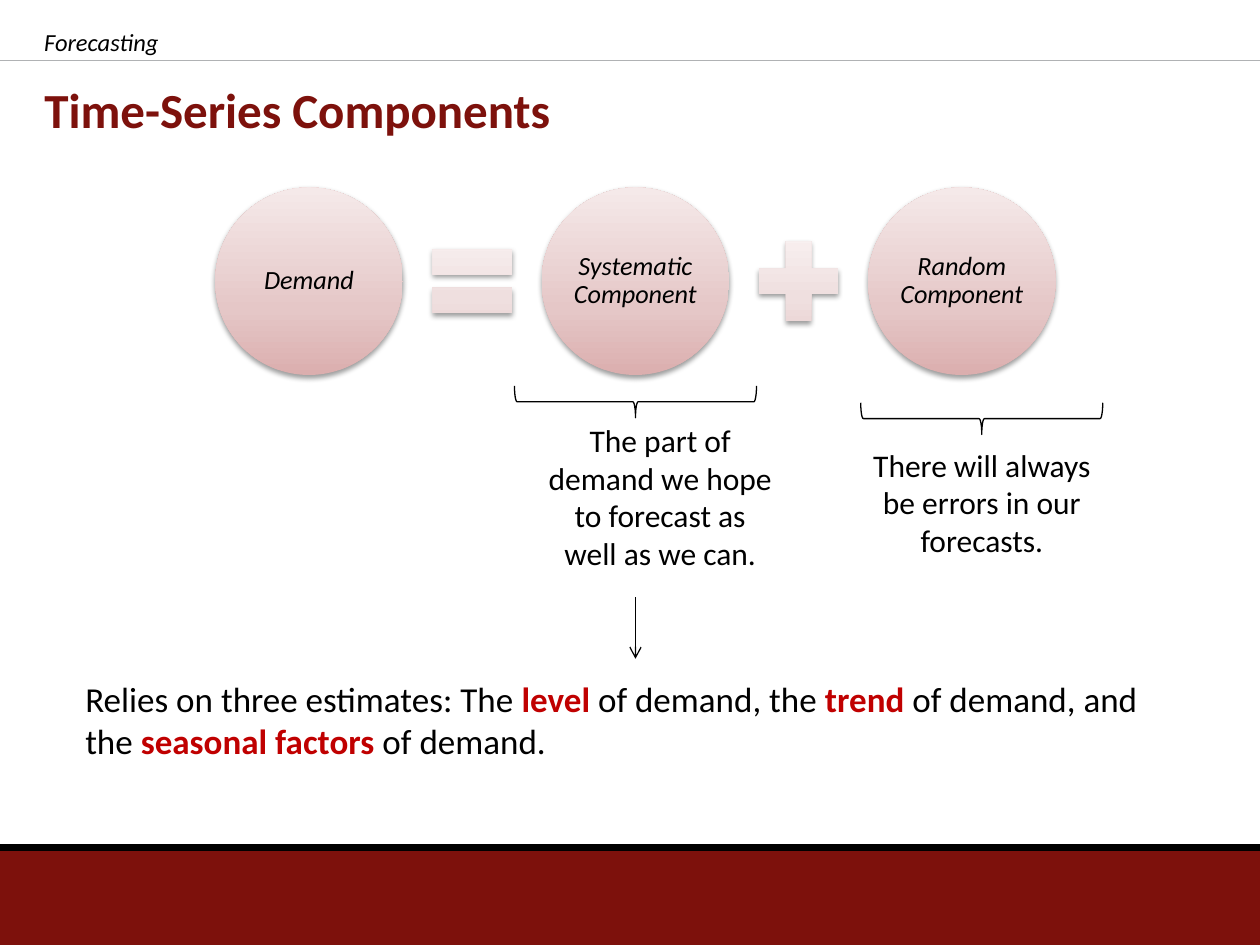
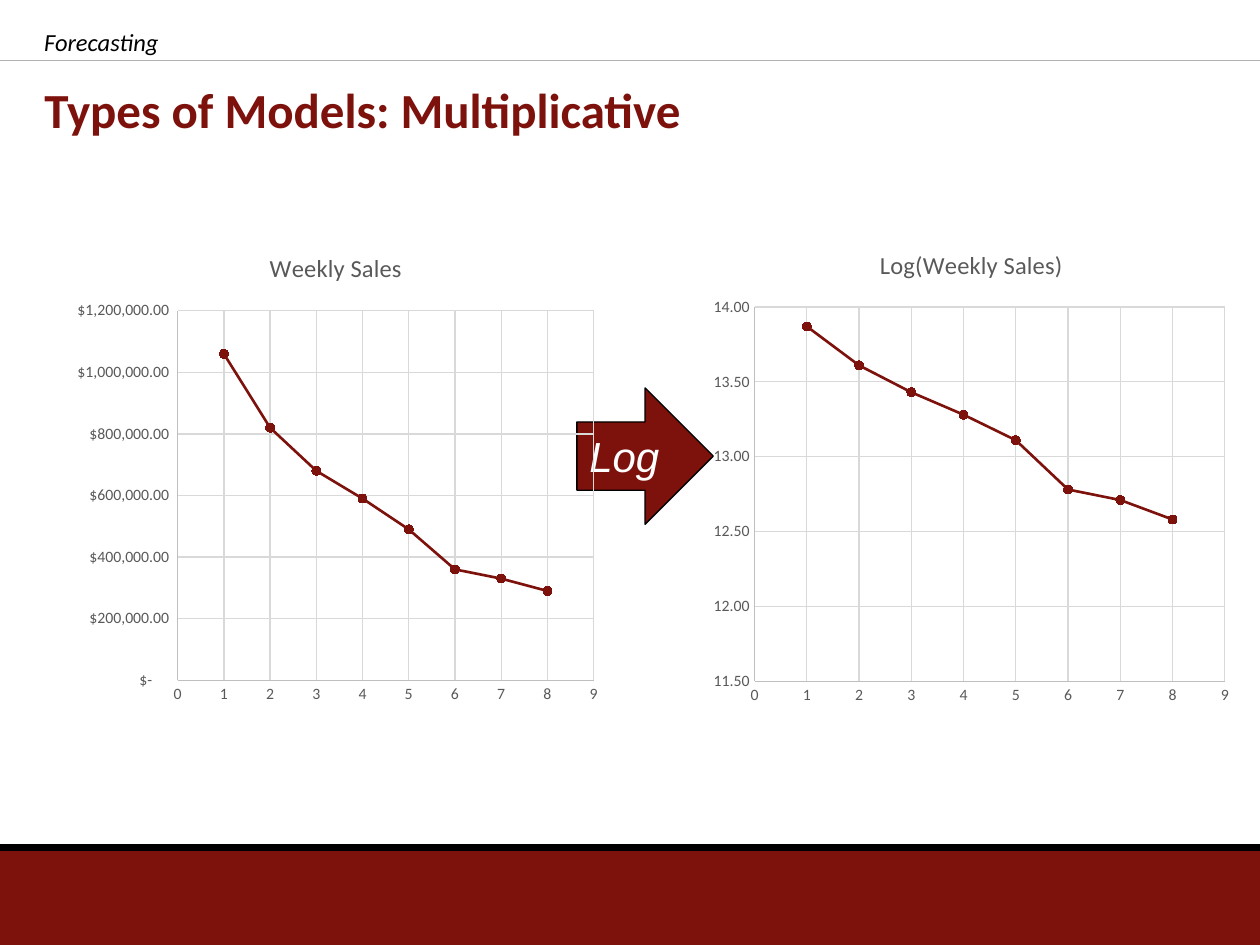
from lxml.etree import SubElement
from pptx import Presentation
from pptx.chart.data import XyChartData
from pptx.dml.color import RGBColor
from pptx.enum.chart import XL_CHART_TYPE as ChartType, XL_MARKER_STYLE as Marker, XL_TICK_MARK as Tick
from pptx.enum.shapes import MSO_CONNECTOR as Connector, MSO_SHAPE as Shape
from pptx.enum.text import MSO_ANCHOR as Anchor, MSO_AUTO_SIZE as AutoSize, PP_ALIGN as Align
from pptx.oxml.ns import qn
from pptx.util import Cm, Pt

SLIDE_WIDTH, SLIDE_HEIGHT = 25.4, 19.05
TITLE_ONLY = 5

MAROON, BLACK, WHITE = "7D110C", "000000", "FFFFFF"
RULE_GRAY, AXIS_GRAY, GRID_GRAY, LABEL_GRAY = "B0B2B4", "BFBFBF", "D9D9D9", "595959"
EMPHASIS = {"color": "C00000", "bold": True}
CIRCLE_SHADES = ((0, "DBAEAE"), (35, "E5C7C7"), (100, "F5E9E9"))
OPERATOR_SHADES = ((0, "EAD3D3"), (35, "EFDFDF"), (100, "F9F2F2"))

DOLLARS = '_($* #,##0.00_);_($* (#,##0.00);_($* "-"??_);_(@_)'
WEEKLY_SALES = (1060000, 820000, 680000, 590000, 490000, 360000, 330000, 290000)
LOG_SALES = (13.87, 13.61, 13.43, 13.28, 13.11, 12.78, 12.71, 12.58)


def rgb(color):
    return RGBColor.from_string(color)


def format_font(font, size=18, color=BLACK, name="Calibri", bold=False, italic=False):
    font.size, font.name, font.bold, font.italic = Pt(size), name, bold, italic
    font.color.rgb = rgb(color)


def format_line(line, color, width=0.75):
    line.color.rgb = rgb(color)
    line.width = Pt(width)


def write(frame, text, align=Align.LEFT, anchor=Anchor.TOP, inset=None, spacing=None, **font):
    """Fill a frame with a string, or with (string, font overrides) pairs."""
    frame.word_wrap = True
    frame.auto_size = AutoSize.NONE
    frame.vertical_anchor = anchor
    if inset is not None:
        frame.margin_left = frame.margin_right = Cm(inset)
        frame.margin_top = frame.margin_bottom = Cm(inset)
    paragraph = frame.paragraphs[0]
    paragraph.alignment = align
    if spacing:
        paragraph.line_spacing = spacing
    for words, overrides in [(text, {})] if isinstance(text, str) else text:
        run = paragraph.add_run()
        run.text = words
        format_font(run.font, **{**font, **overrides})


def shade(shape, stops):
    """Give a shape a vertical gradient, its first stop at the bottom."""
    shape.fill.gradient()
    shape.fill.gradient_angle = 90
    stop_list = shape.element.spPr.find(".//" + qn("a:gsLst"))
    stop_list.clear()
    for percent, color in stops:
        stop = SubElement(stop_list, qn("a:gs"), pos=str(percent * 1000))
        SubElement(stop, qn("a:srgbClr"), val=color)


def cast_shadow(shape):
    effects = shape.element.spPr.find(qn("a:effectLst"))
    shadow = SubElement(effects, qn("a:outerShdw"), blurRad=str(Pt(3.1)), dist=str(Pt(1.6)),
                        dir="5400000", rotWithShape="0")
    color = SubElement(shadow, qn("a:srgbClr"), val=BLACK)
    SubElement(color, qn("a:alpha"), val="38000")


def clear_chart_background(chart):
    space = chart.element
    body = space.find(qn("c:chart"))
    area = SubElement(space, qn("c:spPr"))
    body.addnext(area)
    plot = SubElement(body.find(qn("c:plotArea")), qn("c:spPr"))
    for properties in (area, plot):
        SubElement(properties, qn("a:noFill"))
    SubElement(SubElement(area, qn("a:ln")), qn("a:noFill"))


class Deck:
    """The shared style and the slide being filled; lengths are in centimetres."""

    def __init__(self):
        self.presentation = Presentation()
        self.presentation.slide_width = Cm(SLIDE_WIDTH)
        self.presentation.slide_height = Cm(SLIDE_HEIGHT)
        self.slide = None

    def new_slide(self, heading):
        self.slide = self.presentation.slides.add_slide(
            self.presentation.slide_layouts[TITLE_ONLY])
        title = self.slide.shapes.title
        title.left, title.top, title.width, title.height = map(Cm, (0.64, 1.47, 23.34, 1.47))
        write(title.text_frame, heading, anchor=Anchor.MIDDLE, size=28, color=MAROON, bold=True)
        self.shape(Shape.RECTANGLE, 0, 17.15, SLIDE_WIDTH, 1.9, fill=MAROON)
        self.line(0, 1.22, SLIDE_WIDTH, 1.22, color=RULE_GRAY)
        self.line(0, 17.09, SLIDE_WIDTH, 17.09, width=3.75)
        self.text("Forecasting", 0.64, 0.43, 13.77, 0.84, size=14, italic=True)

    def shape(self, kind, left, top, width, height, fill=None, outline=None, shades=None):
        shape = self.slide.shapes.add_shape(kind, *map(Cm, (left, top, width, height)))
        shape.shadow.inherit = False
        if shades:
            shade(shape, shades)
            cast_shadow(shape)
        elif fill:
            shape.fill.solid()
            shape.fill.fore_color.rgb = rgb(fill)
        else:
            shape.fill.background()
        if outline:
            format_line(shape.line, outline)
        else:
            shape.line.fill.background()
        return shape

    def line(self, x1, y1, x2, y2, color=BLACK, width=0.75, arrow=False):
        line = self.slide.shapes.add_connector(Connector.STRAIGHT, *map(Cm, (x1, y1, x2, y2)))
        format_line(line.line, color, width)
        properties = line.element.spPr
        if arrow:
            SubElement(properties.find(qn("a:ln")), qn("a:tailEnd"), type="arrow")
        SubElement(properties, qn("a:effectLst"))

    def text(self, text, left, top, width, height, **style):
        box = self.slide.shapes.add_textbox(*map(Cm, (left, top, width, height)))
        write(box.text_frame, text, **style)

    def brace(self, center, top, span=4.88, depth=0.64):
        """Draw a horizontal brace that points down."""
        brace = self.shape(Shape.RIGHT_BRACE, center - depth / 2, top + (depth - span) / 2,
                           depth, span, outline=BLACK)
        brace.rotation = 90

    def scatter(self, name, values, box, low, high, step, number_format):
        data = XyChartData()
        points = data.add_series(name)
        for week, value in enumerate(values, 1):
            points.add_data_point(week, value)
        chart = self.slide.shapes.add_chart(ChartType.XY_SCATTER_LINES, *map(Cm, box), data).chart
        clear_chart_background(chart)
        format_font(chart.font, size=10)
        chart.has_legend = False
        chart.has_title = True
        write_title = chart.chart_title.text_frame.paragraphs[0].add_run()
        write_title.text = name
        format_font(write_title.font, size=14, color=LABEL_GRAY)
        chart.chart_title.include_in_layout = False

        chart.plots[0].vary_by_categories = False
        series = chart.plots[0].series[0]
        series.smooth = False
        format_line(series.format.line, MAROON, 1.5)
        series.marker.style, series.marker.size = Marker.CIRCLE, 5
        series.marker.format.fill.solid()
        series.marker.format.fill.fore_color.rgb = rgb(MAROON)
        format_line(series.marker.format.line, MAROON)

        scales = ((chart.category_axis, 0, 9, 1, "0"),
                  (chart.value_axis, low, high, step, number_format))
        for axis, minimum, maximum, unit, labels in scales:
            axis.minimum_scale, axis.maximum_scale, axis.major_unit = minimum, maximum, unit
            axis.major_tick_mark = axis.minor_tick_mark = Tick.NONE
            axis.has_major_gridlines = True
            format_line(axis.major_gridlines.format.line, GRID_GRAY)
            format_line(axis.format.line, AXIS_GRAY)
            axis.tick_labels.number_format = labels
            axis.tick_labels.number_format_is_linked = False
            format_font(axis.tick_labels.font, size=9, color=LABEL_GRAY)


def add_components_slide(deck):
    deck.new_slide("Time-Series Components")
    left, top, diameter, operator, gap = 4.34, 3.78, 3.78, 2.18, 0.31
    pitch = diameter + operator + 2 * gap
    for index, term in enumerate(("Demand", "Systematic Component", "Random Component")):
        circle = deck.shape(Shape.OVAL, left + index * pitch, top, diameter, diameter,
                            shades=CIRCLE_SHADES)
        write(circle.text_frame, term, align=Align.CENTER, anchor=Anchor.MIDDLE, inset=0.05,
              spacing=0.9, size=15, italic=True)
    for index, sign in enumerate((Shape.MATH_EQUAL, Shape.MATH_PLUS)):
        deck.shape(sign, left + diameter + gap + index * pitch, top + (diameter - operator) / 2,
                   operator, operator, shades=OPERATOR_SHADES)

    systematic_center = left + pitch + diameter / 2
    deck.brace(systematic_center, 7.78)
    deck.brace(19.79, 8.12)
    deck.text("The part of demand we hope to forecast as well as we can.",
              10.77, 8.36, 5.08, 3.33, align=Align.CENTER)
    deck.text("There will always be errors in our forecasts.",
              17.04, 8.86, 5.51, 2.57, align=Align.CENTER)
    deck.line(systematic_center, 12.04, systematic_center, 13.28, arrow=True)
    deck.text([("Relies on three estimates: The ", {}), ("level ", EMPHASIS),
               ("of demand, the ", {}), ("trend", EMPHASIS),
               (" of demand, and the ", {}), ("seasonal factors ", EMPHASIS),
               ("of demand.", {})], 1.47, 13.54, 22.66, 1.96, size=20)


def add_multiplicative_slide(deck):
    deck.new_slide("Types of Models: Multiplicative")
    log_arrow = deck.shape(Shape.RIGHT_ARROW, 11.63, 7.82, 2.75, 2.75, fill=MAROON, outline=BLACK)
    write(log_arrow.text_frame, "Log", anchor=Anchor.MIDDLE, size=24, color=WHITE,
          name="Arial", italic=True)
    deck.scatter("Weekly Sales", WEEKLY_SALES, (1.27, 4.65, 11, 9.73),
                 0, 1200000, 200000, DOLLARS)
    deck.scatter("Log(Weekly Sales)", LOG_SALES, (14.17, 4.57, 10.82, 9.83),
                 11.5, 14, 0.5, "0.00")


def main():
    deck = Deck()
    add_components_slide(deck)
    add_multiplicative_slide(deck)
    deck.presentation.save("out.pptx")


if __name__ == "__main__":
    main()
